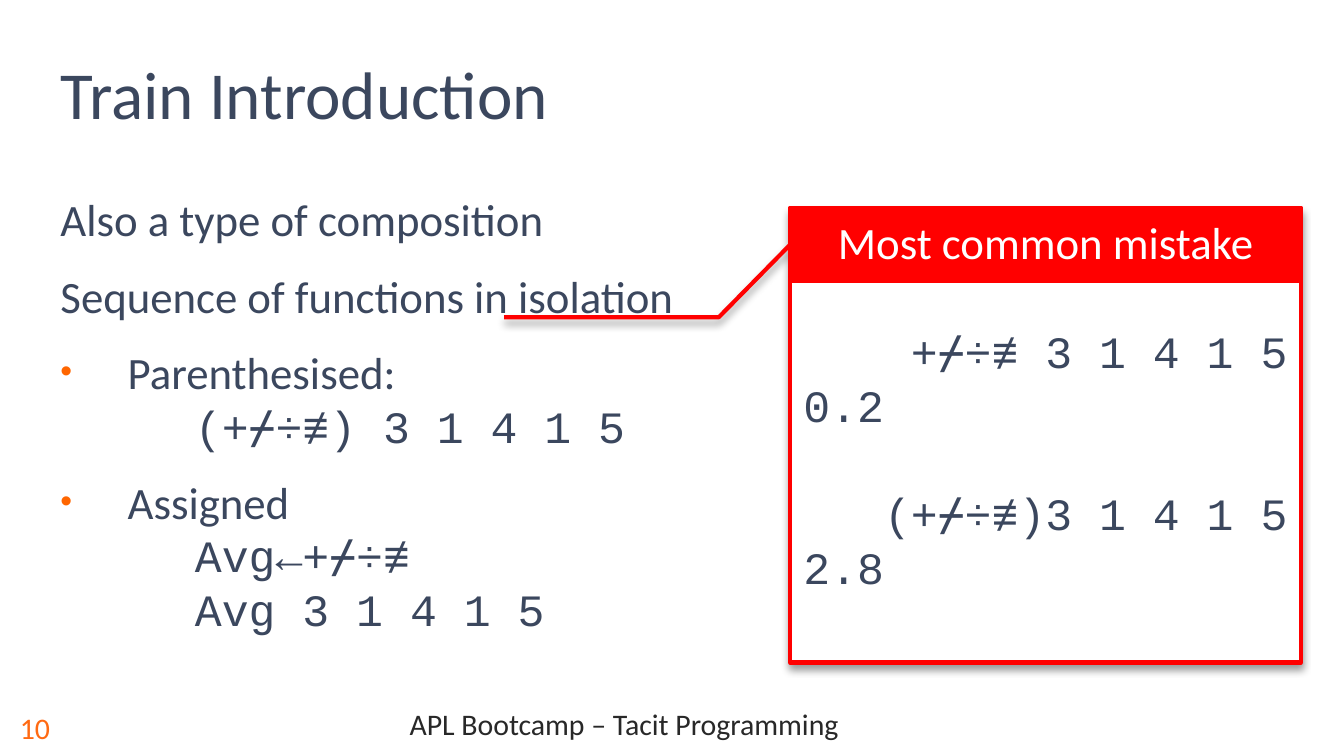
"""Build the Train Introduction slide of an APL course."""
from dataclasses import dataclass

from lxml import etree
from pptx import Presentation
from pptx.dml.color import RGBColor
from pptx.enum.shapes import MSO_SHAPE
from pptx.enum.text import MSO_ANCHOR, MSO_AUTO_SIZE, PP_ALIGN
from pptx.oxml.ns import qn
from pptx.util import Inches, Pt

CALLOUT, RECTANGLE = MSO_SHAPE.LINE_CALLOUT_2, MSO_SHAPE.RECTANGLE
TOP, MIDDLE, BOTTOM = MSO_ANCHOR.TOP, MSO_ANCHOR.MIDDLE, MSO_ANCHOR.BOTTOM
LEFT, CENTER = PP_ALIGN.LEFT, PP_ALIGN.CENTER
NO_FIT = MSO_AUTO_SIZE.NONE
COLORS = {"ink": "3B475E", "footer": "282828", "number": "FF6A13",
          "bullet": "FF6600", "alert": "FF0000", "paper": "FFFFFF", "shadow": "000000"}
TEXT_FONT, CODE_FONT = "Calibri", "Courier New"
PAGE_WIDTH = 10
PAGE_HEIGHT = PAGE_WIDTH * 9 / 16


@dataclass(frozen=True)
class Area:
    left: float
    top: float
    width: float
    height: float

    def lengths(self) -> list:
        return [Inches(v) for v in (self.left, self.top, self.width, self.height)]


@dataclass(frozen=True)
class Point:
    text: str
    code: tuple = ()
    bullet: bool = False


@dataclass(frozen=True)
class Label:
    text: str
    area: Area
    color: str
    align: PP_ALIGN
    spacing: float = 1.0


TITLE_AREA = Area(0.35, 0.29, 7.12, 0.75)
BODY_AREA = Area(0.35, 1.38, 6.66, 4.15)
CALLOUT_AREA = Area(5.88, 1.55, 3.8, 3.38)
HEADING_AREA = Area(5.88, 1.55, 3.8, 0.54)
POINTER = (0.08, 0, 0.24, -0.14, 0.24, -0.56)
POINTS = (
    Point("Also a type of composition"),
    Point("Sequence of functions in isolation"),
    Point("Parenthesised:", ("(+⌿÷≢) 3 1 4 1 5",), True),
    Point("Assigned", ("Avg←+⌿÷≢", "Avg 3 1 4 1 5"), True),
)
EXAMPLES = (("    +⌿÷≢ 3 1 4 1 5", "0.2"), ("   (+⌿÷≢)3 1 4 1 5", "2.8"))
LABELS = (
    Label("APL Bootcamp – Tacit Programming", Area(0.78, 5.19, 7.73, 0.44), "footer", CENTER, 0.8),
    Label("10", Area(0.05, 5.19, 0.73, 0.44), "number", LEFT),
)


def rgb(name: str) -> RGBColor:
    return RGBColor.from_string(COLORS[name])


def style(font, size: float, color: str, name: str = TEXT_FONT) -> None:
    font.size, font.name = Pt(size), name
    font.color.rgb = rgb(color)


def place(box, area: Area, anchor: MSO_ANCHOR):
    box.left, box.top, box.width, box.height = area.lengths()
    frame = box.text_frame
    frame.word_wrap, frame.auto_size, frame.vertical_anchor = True, NO_FIT, anchor
    return frame


def add_bullet(para, shown: bool) -> None:
    props = para._p.get_or_add_pPr()
    indent = Inches(0.5) if shown else 0
    props.set("marL", str(indent))
    props.set("indent", str(-indent))
    if not shown:
        etree.SubElement(props, qn("a:buNone"))
        return
    color = etree.SubElement(props, qn("a:buClr"))
    etree.SubElement(color, qn("a:srgbClr"), val=COLORS["bullet"])
    etree.SubElement(props, qn("a:buSzPct"), val="75000")
    etree.SubElement(props, qn("a:buChar"), char="•")


def add_point(para, point: Point) -> None:
    add_bullet(para, point.bullet)
    para.space_before, para.space_after = Pt(0), Pt(12)
    style(para.font, 24, "ink")
    para.add_run().text = point.text
    for code in point.code:
        para.add_line_break()
        span = para.add_run()
        span.text = "\t" + code
        span.font.name = CODE_FONT


def add_panel(page, kind: MSO_SHAPE, area: Area, fill: str):
    panel = page.shapes.add_shape(kind, *area.lengths())
    panel.shadow.inherit = False
    panel.fill.solid()
    panel.fill.fore_color.rgb = rgb(fill)
    panel.line.color.rgb = rgb("alert")
    panel.line.width = Pt(2.25)
    return panel


def add_shadow(panel) -> None:
    effects = panel._element.spPr.find(qn("a:effectLst"))
    shadow = etree.SubElement(effects, qn("a:outerShdw"), blurRad=str(Pt(4)),
                              dist=str(Pt(3)), dir="5400000", rotWithShape="0")
    color = etree.SubElement(shadow, qn("a:srgbClr"), val=COLORS["shadow"])
    etree.SubElement(color, qn("a:alpha"), val="40000")


def add_callout(page) -> None:
    callout = add_panel(page, CALLOUT, CALLOUT_AREA, "paper")
    for index, value in enumerate(POINTER):
        callout.adjustments[index] = value
    add_shadow(callout)
    frame = place(callout, CALLOUT_AREA, TOP)
    frame.margin_top, frame.margin_right = Inches(0.86), Inches(0.05)
    for number, example in enumerate(EXAMPLES):
        for row, text in enumerate(example):
            first = number == row == 0
            para = frame.paragraphs[0] if first else frame.add_paragraph()
            para.text, para.alignment = text, LEFT
            para.space_before = Pt(29 if number and row == 0 else 0)
            style(para.font, 24, "ink", CODE_FONT)


def add_heading(page) -> None:
    heading = add_panel(page, RECTANGLE, HEADING_AREA, "alert")
    para = place(heading, HEADING_AREA, TOP).paragraphs[0]
    para.text, para.alignment = "Most common mistake", CENTER
    style(para.font, 24, "paper")


def add_label(page, label: Label) -> None:
    box = page.shapes.add_textbox(*label.area.lengths())
    para = place(box, label.area, MIDDLE).paragraphs[0]
    para.text, para.alignment, para.line_spacing = label.text, label.align, label.spacing
    style(para.font, 16, label.color)


def main() -> None:
    deck = Presentation()
    deck.slide_width, deck.slide_height = Inches(PAGE_WIDTH), Inches(PAGE_HEIGHT)
    page = deck.slides.add_slide(deck.slide_layouts[1])
    for label in LABELS:
        add_label(page, label)
    add_callout(page)
    body = place(page.placeholders[1], BODY_AREA, TOP)
    for index, point in enumerate(POINTS):
        add_point(body.add_paragraph() if index else body.paragraphs[0], point)
    title = place(page.shapes.title, TITLE_AREA, BOTTOM).paragraphs[0]
    title.text, title.alignment = "Train Introduction", LEFT
    style(title.font, 36, "ink")
    add_heading(page)
    deck.save("out.pptx")


if __name__ == "__main__":
    main()
